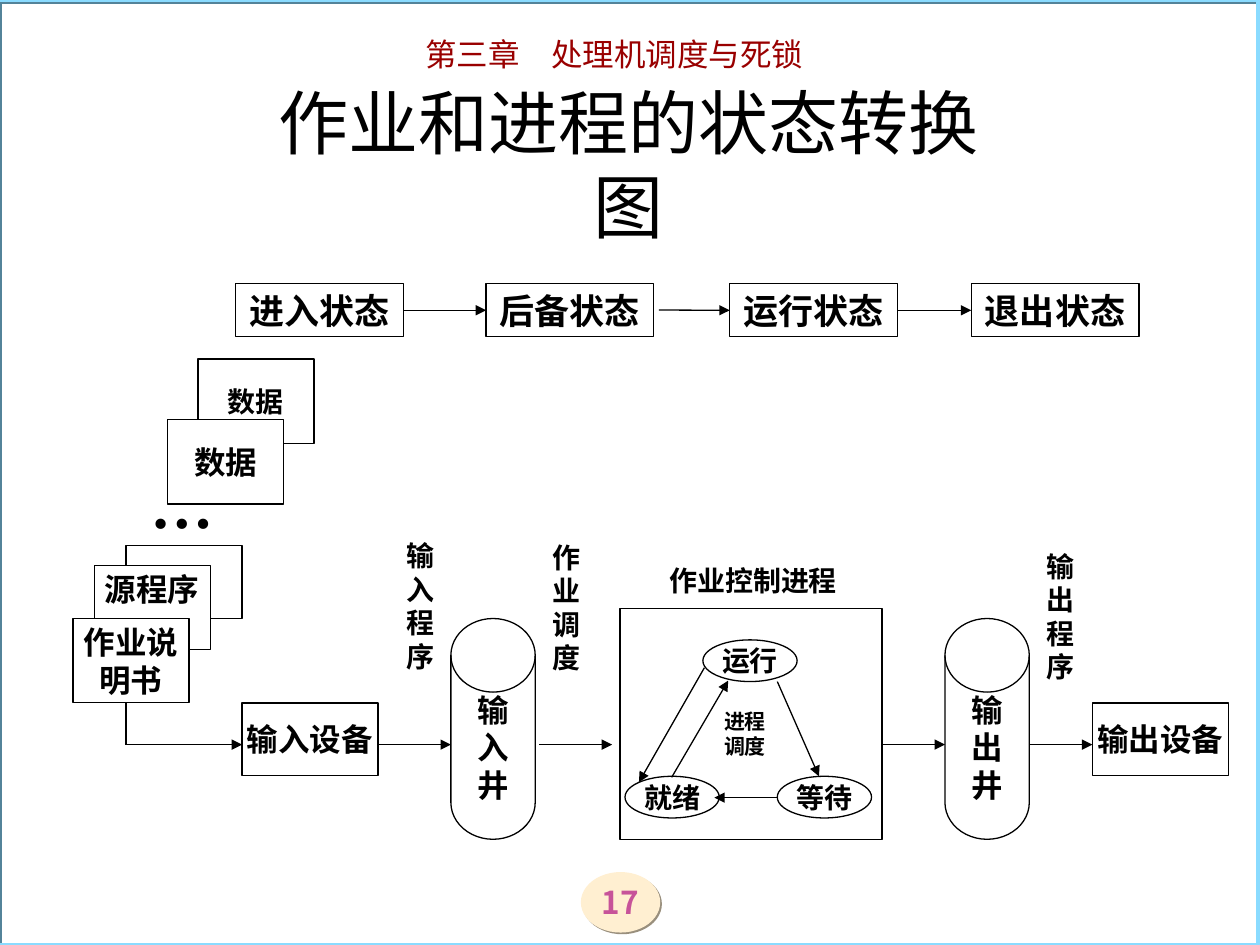
from dataclasses import dataclass
from typing import Optional

import pptx
import pptx.dml.color
import pptx.enum.shapes
import pptx.enum.text
import pptx.oxml.ns
import pptx.oxml.xmlchemy
import pptx.util

Cm = pptx.util.Cm
Pt = pptx.util.Pt
SHAPES = pptx.enum.shapes.MSO_SHAPE
ANCHOR = pptx.enum.text.MSO_ANCHOR

COLORS = {
    "ink": "000000",
    "paper": "FFFFFF",
    "chapter": "990000",
    "border": "8ADBFF",
    "border_shadow": "538399",
    "badge": "FFEFD1",
    "badge_shadow": "998F7D",
    "page_number": "C75399",
}
BODY_FONT = "Times New Roman"
ASIAN_FONT = "Noto Sans CJK SC"
CHAPTER_FONT = "Noto Sans CJK JP"


@dataclass
class Box:
    left: float
    top: float
    width: float
    height: float
    text: str = ""
    size: float = 18
    kind: int = SHAPES.RECTANGLE
    line: str = "ink"
    top_inset: Optional[float] = None


@dataclass
class Arrow:
    x1: float
    y1: float
    x2: float
    y2: float
    head: bool = True


def color(name: str) -> pptx.dml.color.RGBColor:
    return pptx.dml.color.RGBColor.from_string(COLORS[name])


def add_element(parent, tag: str, **attributes: str):
    element = parent.makeelement(pptx.oxml.ns.qn(tag), attributes)
    parent.append(element)
    return element


def write_text(shape, text: str, size: float, bold: bool = True, ink: str = "ink",
               font: str = BODY_FONT, asian_font: str = ASIAN_FONT) -> None:
    frame = shape.text_frame
    frame.text = text
    frame.word_wrap = False
    for paragraph in frame.paragraphs:
        paragraph.alignment = pptx.enum.text.PP_ALIGN.CENTER
        paragraph.font.size = Pt(size)
        paragraph.font.bold = bold
        paragraph.font.color.rgb = color(ink)
        paragraph.font.name = font
        add_element(paragraph.font._element, "a:ea", typeface=asian_font)


def add_shadow(shape, name: str) -> None:
    effects = shape._element.spPr.find(pptx.oxml.ns.qn("a:effectLst"))
    shadow = add_element(effects, "a:outerShdw", dist=str(Pt(1.4)), dir="2700000",
                         algn="ctr", rotWithShape="0")
    add_element(shadow, "a:srgbClr", val=COLORS[name])


def add_plain_shape(slide, kind: int, left: float, top: float, width: float, height: float):
    shape = slide.shapes.add_shape(kind, Cm(left), Cm(top), Cm(width), Cm(height))
    shape.shadow.inherit = False
    return shape


def add_box(slide, box: Box):
    shape = add_plain_shape(slide, box.kind, box.left, box.top, box.width, box.height)
    shape.fill.solid()
    shape.fill.fore_color.rgb = color("paper")
    shape.line.color.rgb = color(box.line)
    shape.line.width = Pt(0.75)
    if box.text:
        write_text(shape, box.text, box.size)
        shape.text_frame.vertical_anchor = ANCHOR.MIDDLE
    if box.top_inset is not None:
        shape.text_frame.vertical_anchor = ANCHOR.TOP
        shape.text_frame.margin_top = Cm(box.top_inset)
    return shape


def add_arrow(slide, arrow: Arrow, source=None, target=None) -> None:
    connector = slide.shapes.add_connector(
        pptx.enum.shapes.MSO_CONNECTOR.STRAIGHT,
        Cm(arrow.x1), Cm(arrow.y1), Cm(arrow.x2), Cm(arrow.y2))
    if source is not None:
        connector.begin_connect(source, 3)
    if target is not None:
        connector.end_connect(target, 1)
    connector.line.color.rgb = color("ink")
    connector.line.width = Pt(0.75)
    if arrow.head:
        add_element(connector.line._get_or_add_ln(), "a:tailEnd", type="triangle")
    add_element(connector._element.spPr, "a:effectLst")


def add_heading(slide, left: float, top: float, width: float, height: float,
                text: str, size: float, **style: str) -> None:
    heading = slide.shapes.add_textbox(Cm(left), Cm(top), Cm(width), Cm(height))
    write_text(heading, text, size, bold=False, **style)


def add_page_furniture(slide) -> None:
    badge = add_plain_shape(slide, SHAPES.OVAL, 11.71, 17.58, 1.6, 1.22)
    badge.fill.solid()
    badge.fill.fore_color.rgb = color("badge")
    badge.line.fill.background()
    add_shadow(badge, "badge_shadow")
    write_text(badge, "17", 18, ink="page_number", font=ASIAN_FONT)
    frame = badge.text_frame
    frame.vertical_anchor = ANCHOR.MIDDLE
    frame.margin_left = frame.margin_right = frame.margin_top = frame.margin_bottom = 0

    border = add_plain_shape(slide, SHAPES.RECTANGLE, -0.03, 0, 25.4, 19.05)
    border.fill.background()
    border.line.color.rgb = color("border")
    border.line.width = Pt(2.25)
    add_shadow(border, "border_shadow")

    add_heading(slide, 5.28, 0.58, 14.2, 1.02, "第三章　处理机调度与死锁", 18,
                ink="chapter", font=CHAPTER_FONT, asian_font=CHAPTER_FONT)
    add_heading(slide, 4.67, 1.47, 16, 1.96, "作业和进程的状态转换图", 40)


def add_job_states(slide) -> None:
    names = ["进入状态", "后备状态", "运行状态", "退出状态"]
    lefts = [4.75, 9.8, 14.71, 19.58]
    width, middle = 3.38, 6.25
    states = [add_box(slide, Box(left, 5.72, width, 1.07, name, 20))
              for name, left in zip(names, lefts)]
    for index in range(len(states) - 1):
        detached = index == 1
        start = 13.28 if detached else lefts[index] + width
        add_arrow(slide, Arrow(start, middle, lefts[index + 1], middle),
                  None if detached else states[index], states[index + 1])


def card(left: float, top: float, text: str, size: float = 18,
         top_inset: Optional[float] = None) -> Box:
    return Box(left, top, 2.34, 1.7, text, size, top_inset=top_inset)


def device(left: float, text: str) -> Box:
    return Box(left, 14.17, 2.74, 1.47, text)


def disk(left: float, text: str) -> Box:
    return Box(left, 12.47, 1.7, 4.45, "\n".join(text), kind=SHAPES.FLOWCHART_MAGNETIC_DISK)


def process_state(left: float, top: float, text: str) -> Box:
    return Box(left, top, 1.9, 0.84, text, 16, SHAPES.OVAL)


def vertical_label(left: float, top: float, text: str, top_inset: Optional[float] = None) -> Box:
    return Box(left, top, 0.84, 3.81, "\n".join(text), 16, line="paper", top_inset=top_inset)


def add_job_flow(slide) -> None:
    boxes = [
        card(3.99, 7.24, "数据", 16),
        Box(13.13, 11.28, 4.11, 0.84, "作业控制进程", 16, line="paper"),
        Box(12.5, 12.27, 5.28, 4.65),
        Box(2.54, 11, 2.34, 1.47),
        Box(2.34, 9.73, 2.97, 0.84, "… ", 36, line="paper"),
        device(4.88, "输入设备"),
        card(3.38, 8.46, "数据"),
        card(1.9, 11.4, "源程序", top_inset=0.1),
        device(22.02, "输出设备"),
        card(1.47, 12.47, "作业说\n明书"),
        disk(9.09, "输入井"),
        process_state(14.17, 12.9, "运行"),
        process_state(15.67, 15.65, "等待"),
        process_state(12.6, 15.65, "就绪"),
        disk(19.05, "输出井"),
        vertical_label(8.05, 10.31, "输入程序"),
        vertical_label(20.96, 10.52, "输出程序"),
        vertical_label(11, 10.69, "作业调度", top_inset=0.2),
        Box(14.6, 13.94, 0.84, 1.7, "进程\n调度", 12, line="paper"),
    ]
    for box in boxes:
        add_box(slide, box)

    flow_y = 15.01
    flow_spans = [(2.54, 4.88), (7.62, 9.09), (10.87, 12.34), (17.78, 19.05), (20.75, 22.02)]
    arrows = [Arrow(start, flow_y, end, flow_y) for start, end in flow_spans] + [
        Arrow(2.54, 14.17, 2.54, flow_y, head=False),
        Arrow(15.67, 13.74, 16.51, 15.65),
        Arrow(15.67, 16.08, 14.4, 16.08),
        Arrow(14.2, 13.46, 12.88, 15.77),
        Arrow(13.54, 15.67, 14.68, 13.72),
    ]
    for arrow in arrows:
        add_arrow(slide, arrow)


def main() -> None:
    presentation = pptx.Presentation()
    presentation.slide_width = Cm(25.4)
    presentation.slide_height = Cm(19.05)
    slide = presentation.slides.add_slide(presentation.slide_layouts[6])
    add_page_furniture(slide)
    add_job_states(slide)
    add_job_flow(slide)
    presentation.save("out.pptx")


if __name__ == "__main__":
    main()
